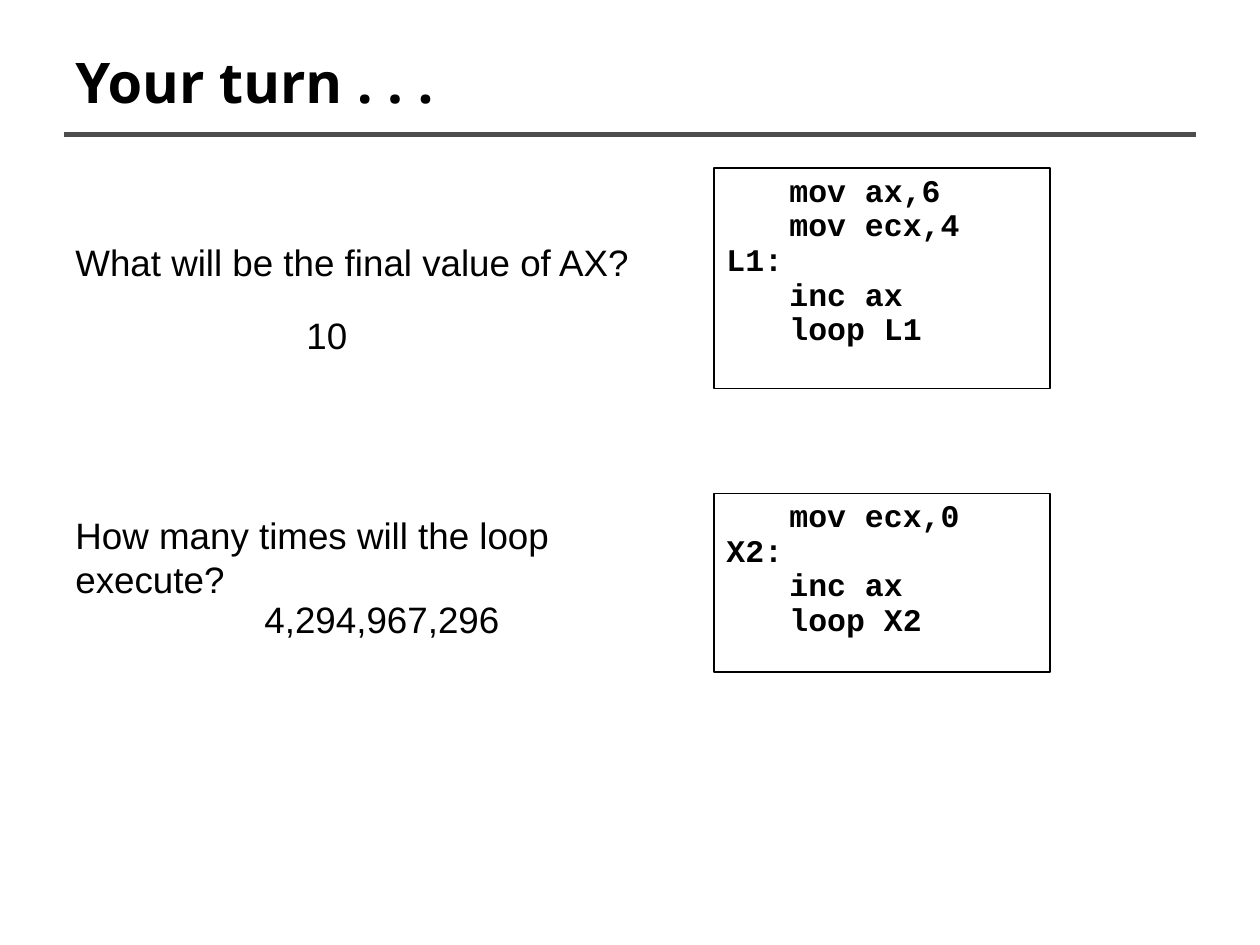
from lxml import etree
from pptx import Presentation
from pptx.dml.color import RGBColor
from pptx.enum import shapes, text
from pptx.oxml import ns
from pptx.util import Pt

COLORS = {"ink": "000000", "rule": "4D4D4D"}

# Content: wording, then left, top, width, height in points
TITLE = ("Your turn . . .", (36, 21.6, 648, 49.7))
RULE = (36.7, 77, 683.3, 77)
NOTES = [
    ("What will be the final value of AX?", (36, 126, 396, 46.8)),
    ("How many times will the loop execute?", (36, 282, 336, 72)),
    ("10", (168, 168, 48, 46.8)),
    ("4,294,967,296", (144, 330, 168, 46.8)),
]
LISTINGS = [
    (["\tmov ax,6", "\tmov ecx,4", "L1:", "\tinc ax", "\tloop L1"], (408, 96, 192, 126)),
    (["\tmov ecx,0", "X2:", "\tinc ax", "\tloop X2"], (408, 282, 192, 102)),
]
TAB_STOPS = (36, 288, 324)


def color(name):
    return RGBColor.from_string(COLORS[name])


def points(values):
    return [Pt(value) for value in values]


def add_element(parent, tag, **attributes):
    element = etree.SubElement(parent, ns.qn(tag))
    for name, value in attributes.items():
        element.set(name, str(value))
    return element


def write_text(shape, lines, font="Arial", size=21, bold=False, wrap=True, inset=10.8,
               anchor=text.MSO_ANCHOR.TOP, fit=text.MSO_AUTO_SIZE.NONE,
               line_spacing=None, space_before=None, tabs=()):
    frame = shape.text_frame
    frame.word_wrap = wrap
    frame.auto_size = fit
    frame.vertical_anchor = anchor
    frame.margin_left = frame.margin_right = Pt(7.2)
    frame.margin_top = frame.margin_bottom = Pt(inset)
    for index, line in enumerate(lines):
        paragraph = frame.add_paragraph() if index else frame.paragraphs[0]
        paragraph.alignment = text.PP_ALIGN.LEFT
        paragraph.line_spacing = line_spacing
        run = paragraph.add_run()
        run.text = line
        run.font.name = font
        run.font.size = Pt(size)
        run.font.bold = bold
        run.font.color.rgb = color("ink")
        # Relative spacing and tab stops
        properties = paragraph._p.get_or_add_pPr()
        if space_before:
            spacing = add_element(properties, "a:spcBef")
            add_element(spacing, "a:spcPct", val=int(space_before * 100000))
        if tabs:
            tab_list = add_element(properties, "a:tabLst")
            for stop in tabs:
                add_element(tab_list, "a:tab", pos=int(Pt(stop)), algn="l")


presentation = Presentation()
presentation.slide_width, presentation.slide_height = points((720, 540))
slide = presentation.slides.add_slide(presentation.slide_layouts[6])

# Title and rule
rule = slide.shapes.add_connector(shapes.MSO_CONNECTOR.STRAIGHT, *points(RULE))
rule.line.color.rgb = color("rule")
rule.line.width = Pt(3)
add_element(rule._element.spPr, "a:effectLst")
title, title_box = TITLE
write_text(slide.shapes.add_textbox(*points(title_box)), [title], font="Open Sans",
           size=32, bold=True, inset=3.6, anchor=text.MSO_ANCHOR.MIDDLE)

# Code listings
for code, box in LISTINGS:
    listing = slide.shapes.add_shape(shapes.MSO_SHAPE.RECTANGLE, *points(box))
    listing.shadow.inherit = False
    listing.fill.background()
    listing.line.color.rgb = color("ink")
    listing.line.width = Pt(0.75)
    write_text(listing, code, font="Courier New", size=18, bold=True, wrap=False,
               line_spacing=0.5, space_before=0.5, tabs=TAB_STOPS)

# Questions and answers
for note, box in NOTES:
    write_text(slide.shapes.add_textbox(*points(box)), [note], space_before=0.5,
               fit=text.MSO_AUTO_SIZE.SHAPE_TO_FIT_TEXT)

presentation.save("out.pptx")
